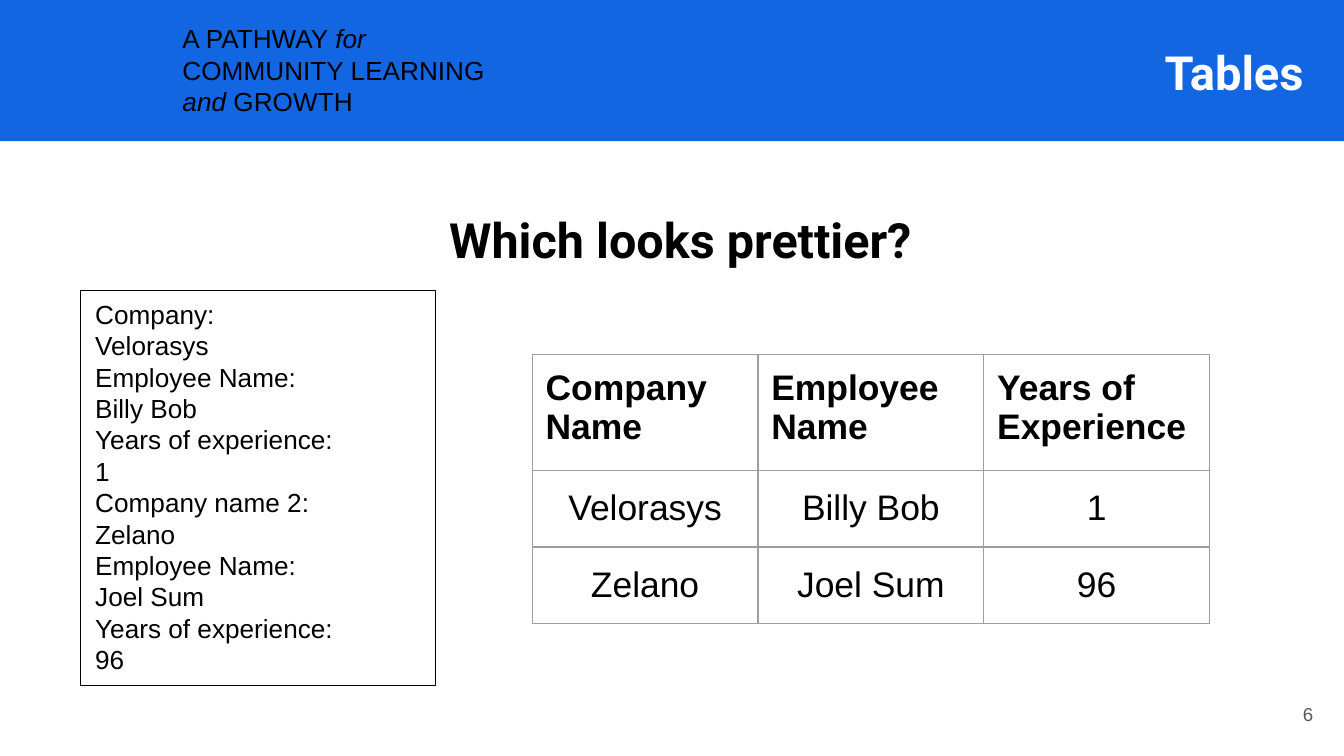
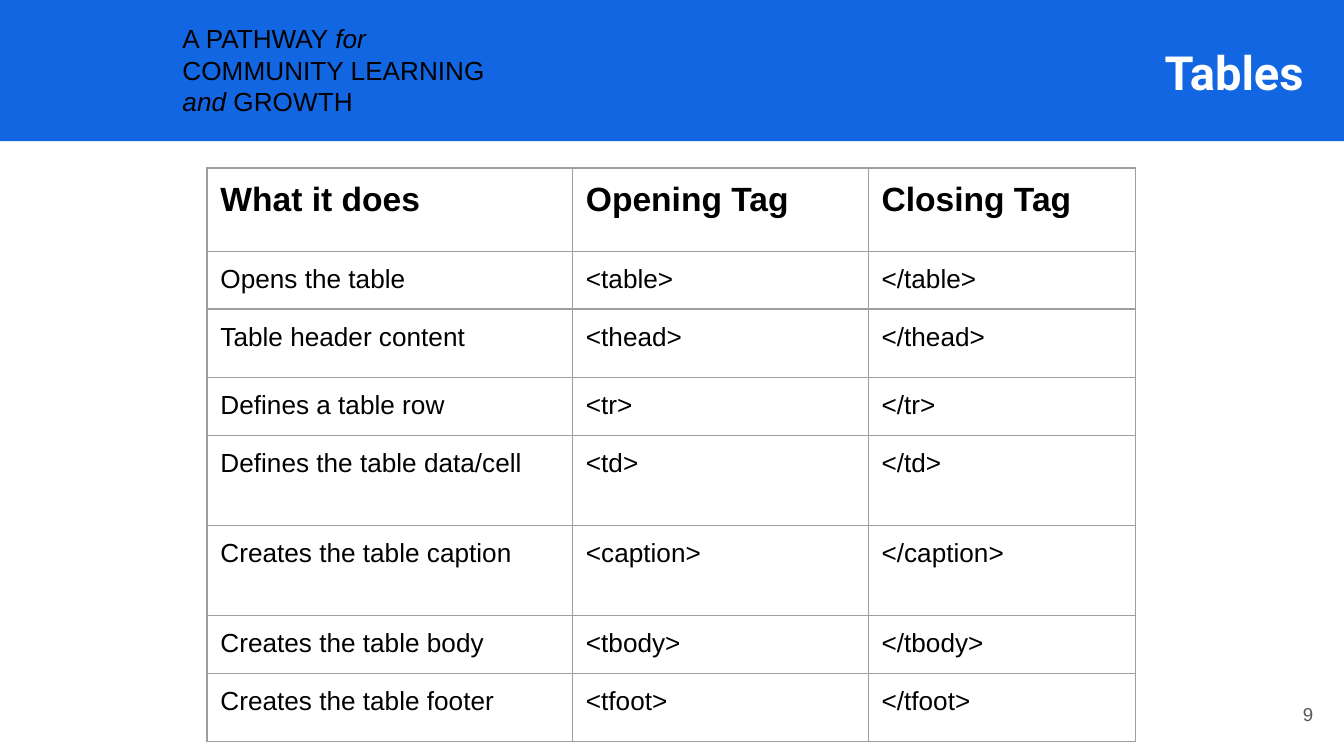
"""Build two slides that introduce HTML tables."""
from dataclasses import dataclass

import pptx
import pptx.dml.color
import pptx.enum.shapes
import pptx.enum.text
import pptx.oxml
import pptx.oxml.ns
import pptx.presentation
import pptx.shapes.autoshape
import pptx.slide
import pptx.table
import pptx.text.text
import pptx.util

ALIGN = pptx.enum.text.PP_ALIGN
ANCHOR = pptx.enum.text.MSO_ANCHOR
FIT = pptx.enum.text.MSO_AUTO_SIZE

WIDTH = pptx.util.Inches(10)
HEIGHT = pptx.util.Inches(5.625)
UNIT = WIDTH // 100

BLUE, WHITE, BLACK = "1266E2", "FFFFFF", "000000"
GREY, RULE = "595959", "9E9E9E"
HEADING_FONT, TEXT_FONT = "Roboto", "Arial"
INSET = pptx.util.Inches(0.1)


@dataclass(frozen=True)
class Place:
    """Position and size in grid columns and rows, 100 columns to a slide."""
    left: float
    top: float
    width: float
    height: float

    def box(self) -> list[int]:
        """Return left, top, width and height as lengths."""
        return [grid(n) for n in (self.left, self.top, self.width, self.height)]


@dataclass(frozen=True)
class Grid:
    """A ruled table: its corner, column widths, row heights and cell text."""
    left: float
    top: float
    columns: list[float]
    heights: list[float]
    rows: list[tuple[str, ...]]
    head_size: float
    size: float
    centred: bool = False


BAND = Place(0, -0.2, 100, 10.7)
MOTTO = Place(12.6, 0.7, 29.4, 9.1)
TITLE = Place(39.6, 2, 58.4, 6.4)
NUMBER = Place(92.7, 51, 6, 4.3)
QUESTION = Place(4.1, 14, 93.1, 40.7)
RECORDS = Place(6.1, 21.2, 35.2, 30.3)
FRAME = Place(6, 21.6, 26.4, 29.4)

MOTTO_LINES = ["A PATHWAY *for*", "COMMUNITY LEARNING", "*and* GROWTH"]
RECORD_LINES = [
    "Company:", "Velorasys", "Employee Name:", "Billy Bob", "Years of experience:", "1",
    "Company name 2:", "Zelano", "Employee Name:", "Joel Sum", "Years of experience:", "96",
]
EMPLOYEES = Grid(
    39.6, 26.4, [16.8] * 3, [8.6, 5.7, 5.7],
    [
        ("Company Name", "Employee Name", "Years of Experience"),
        ("Velorasys", "Billy Bob", "1"),
        ("Zelano", "Joel Sum", "96"),
    ],
    head_size=19, size=19, centred=True,
)
TAGS = [
    ("Opens the table", "table"),
    ("Table header content", "thead"),
    ("Defines a table row", "tr"),
    ("Defines the table data/cell", "td"),
    ("Creates the table caption", "caption"),
    ("Creates the table body", "tbody"),
    ("Creates the table footer", "tfoot"),
]
TAG_GUIDE = Grid(
    15.4, 12.5, [27.2, 22, 19.9], [6.2, 4.3, 5.1, 4.3, 6.7, 6.7, 4.3, 5.1],
    [("What it does", "Opening Tag", "Closing Tag")]
    + [(use, f"<{tag}>", f"</{tag}>") for use, tag in TAGS],
    head_size=18, size=14,
)


def grid(count: float) -> int:
    """Return the length of a number of grid steps."""
    return round(count * UNIT)


def colour(code: str) -> pptx.dml.color.RGBColor:
    """Turn a hex string into a colour."""
    return pptx.dml.color.RGBColor.from_string(code)


def write(
    frame: pptx.text.text.TextFrame, lines: list[str], *, size: float = 14,
    font: str = TEXT_FONT, ink: str = BLACK, bold: bool = False,
    align: ALIGN = ALIGN.LEFT, spacing: float = 1.0,
) -> None:
    """Fill a frame with paragraphs; words between asterisks are italic."""
    for index, line in enumerate(lines):
        paragraph = frame.add_paragraph() if index else frame.paragraphs[0]
        paragraph.alignment = align
        paragraph.line_spacing = spacing
        paragraph.space_before = pptx.util.Pt(0)
        for part, words in enumerate(line.split("*")):
            if words:
                run = paragraph.add_run()
                run.text = words
                run.font.name = font
                run.font.size = pptx.util.Pt(size)
                run.font.bold = bold
                run.font.italic = part % 2 == 1
                run.font.color.rgb = colour(ink)


def settle(
    shape: pptx.shapes.autoshape.Shape, place: Place,
    anchor: ANCHOR = ANCHOR.TOP, fit: FIT = FIT.NONE,
) -> pptx.text.text.TextFrame:
    """Place a shape and give its text frame even insets."""
    shape.left, shape.top, shape.width, shape.height = place.box()
    frame = shape.text_frame
    frame.word_wrap = True
    frame.auto_size = fit
    frame.vertical_anchor = anchor
    frame.margin_left = frame.margin_right = INSET
    frame.margin_top = frame.margin_bottom = INSET
    return frame


def add_rectangle(
    slide: pptx.slide.Slide, place: Place, fill: str = "", line: str = "",
) -> pptx.shapes.autoshape.Shape:
    """Draw a rectangle with an optional fill and outline."""
    kind = pptx.enum.shapes.MSO_SHAPE.RECTANGLE
    rectangle = slide.shapes.add_shape(kind, *place.box())
    rectangle.shadow.inherit = False
    if fill:
        rectangle.fill.solid()
        rectangle.fill.fore_color.rgb = colour(fill)
    else:
        rectangle.fill.background()
    if line:
        rectangle.line.color.rgb = colour(line)
        rectangle.line.width = pptx.util.Pt(0.75)
    else:
        rectangle.line.fill.background()
    return rectangle


def rule_cell(cell: pptx.table._Cell) -> None:
    """Clear a cell's fill and rule its four sides."""
    cell.fill.background()
    properties = cell._tc.get_or_add_tcPr()
    for index, side in enumerate("LRTB"):
        properties.insert(index, pptx.oxml.parse_xml(
            f'<a:ln{side} {pptx.oxml.ns.nsdecls("a")} w="{pptx.util.Pt(0.75)}">'
            f'<a:solidFill><a:srgbClr val="{RULE}"/></a:solidFill></a:ln{side}>'
        ))


def add_grid(slide: pptx.slide.Slide, content: Grid) -> None:
    """Draw a ruled table with a bold first row."""
    place = Place(content.left, content.top, sum(content.columns), sum(content.heights))
    table = slide.shapes.add_table(
        len(content.rows), len(content.columns), *place.box()
    ).table
    table.first_row = table.horz_banding = False
    for column, width in zip(table.columns, content.columns):
        column.width = grid(width)
    for index, (row, height) in enumerate(zip(table.rows, content.heights)):
        row.height = grid(height)
        head = index == 0
        centred = content.centred and not head
        for cell, words in zip(row.cells, content.rows[index]):
            cell.margin_left = cell.margin_right = INSET
            cell.margin_top = cell.margin_bottom = INSET
            cell.vertical_anchor = ANCHOR.MIDDLE if centred else ANCHOR.TOP
            write(
                cell.text_frame, [words], bold=head,
                size=content.head_size if head else content.size,
                align=ALIGN.CENTER if centred else ALIGN.LEFT,
            )
            rule_cell(cell)


def share_header(deck: pptx.presentation.Presentation, slide: pptx.slide.Slide) -> None:
    """Put the blue band and the motto on the slide master."""
    band = add_rectangle(slide, BAND, fill=BLUE)
    motto = slide.shapes.add_textbox(*MOTTO.box())
    write(settle(motto, MOTTO, fit=FIT.SHAPE_TO_FIT_TEXT), MOTTO_LINES)
    for index, part in enumerate((band, motto)):
        part._element.nvSpPr.cNvPr.set("id", str(101 + index))
        deck.slide_master.shapes._spTree.insert(2 + index, part._element)


def add_slide(
    deck: pptx.presentation.Presentation, layout: int, number: str,
) -> pptx.slide.Slide:
    """Add a slide with the shared title and its number."""
    slide = deck.slides.add_slide(deck.slide_layouts[layout])
    write(
        settle(slide.shapes.title, TITLE, ANCHOR.BOTTOM), ["Tables"],
        size=25.2, font=HEADING_FONT, ink=WHITE, bold=True, align=ALIGN.RIGHT,
    )
    folio = slide.shapes.add_textbox(*NUMBER.box())
    write(
        settle(folio, NUMBER, ANCHOR.MIDDLE), [number],
        size=10, ink=GREY, align=ALIGN.RIGHT,
    )
    return slide


def add_question(slide: pptx.slide.Slide) -> None:
    """Write the question in the body placeholder, without a bullet."""
    frame = settle(slide.placeholders[1], QUESTION)
    write(
        frame, ["Which looks prettier?"], size=26, font=HEADING_FONT,
        bold=True, align=ALIGN.CENTER, spacing=1.15,
    )
    properties = frame.paragraphs[0]._p.get_or_add_pPr()
    properties.set("marL", "0")
    properties.set("indent", "0")
    properties.append(pptx.oxml.parse_xml(f'<a:buNone {pptx.oxml.ns.nsdecls("a")}/>'))


def main() -> None:
    """Build and save the slides."""
    deck = pptx.Presentation()
    deck.slide_width, deck.slide_height = WIDTH, HEIGHT

    comparison = add_slide(deck, 1, "6")
    share_header(deck, comparison)
    add_question(comparison)
    records = comparison.shapes.add_textbox(*RECORDS.box())
    write(settle(records, RECORDS, fit=FIT.SHAPE_TO_FIT_TEXT), RECORD_LINES)
    add_grid(comparison, EMPLOYEES)
    add_rectangle(comparison, FRAME, line=BLACK)

    reference = add_slide(deck, 5, "9")
    add_grid(reference, TAG_GUIDE)

    deck.save("out.pptx")


if __name__ == "__main__":
    main()
